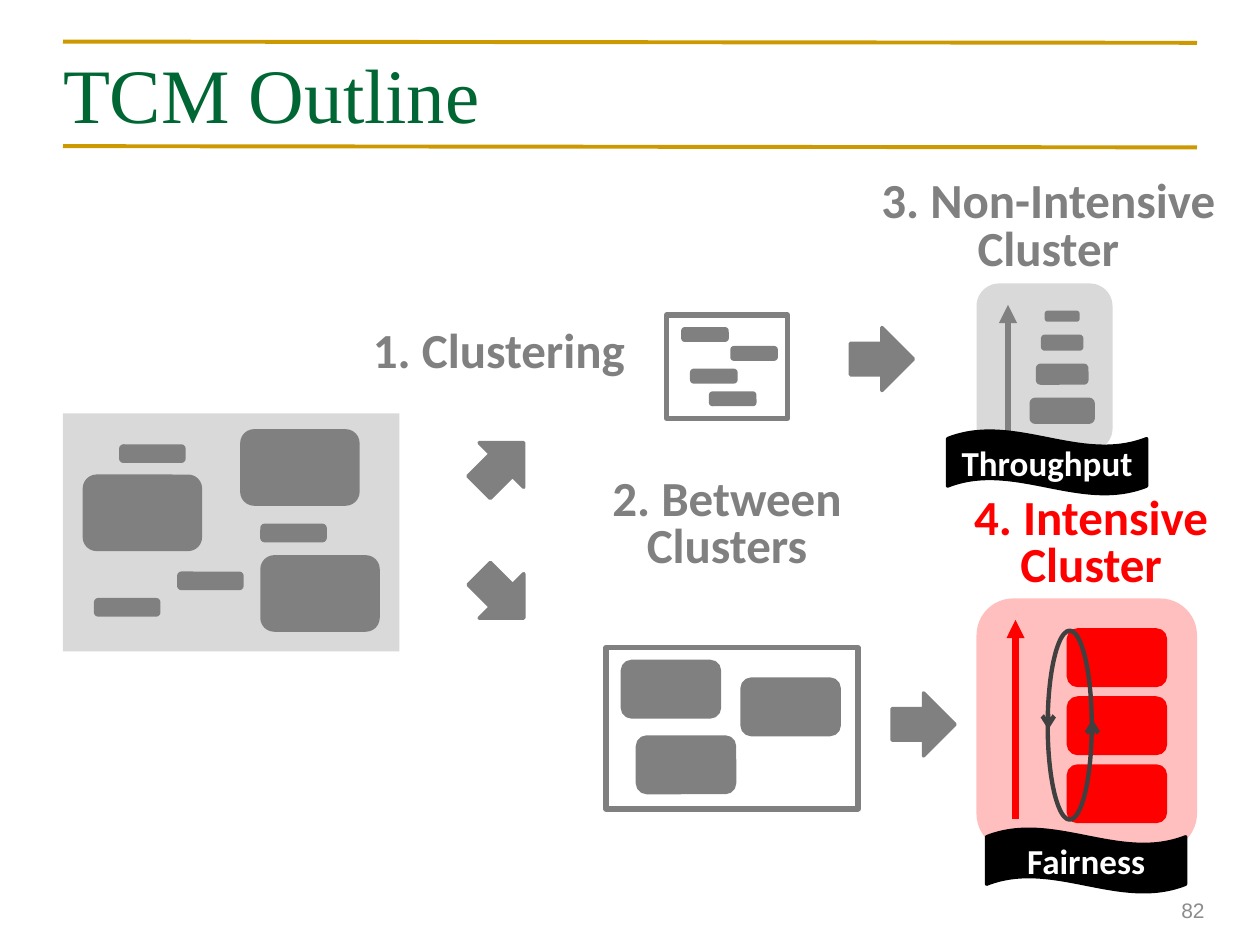
import pptx
import pptx.dml.color
import pptx.enum.shapes
import pptx.enum.text
import pptx.oxml.ns
import pptx.oxml.xmlchemy
import pptx.util
from pptx.util import Inches

SHAPE = pptx.enum.shapes.MSO_SHAPE
ALIGN = pptx.enum.text.PP_ALIGN
color = pptx.dml.color.RGBColor.from_string
new_element = pptx.oxml.xmlchemy.OxmlElement
qn = pptx.oxml.ns.qn

GREY, PALE, RED, DARK, GOLD = "808080", "D9D9D9", "FF0000", "404040", "CC9900"
BLACK, WHITE = "000000", "FFFFFF"

presentation = pptx.Presentation()
presentation.slide_width, presentation.slide_height = Inches(10), Inches(7.5)
slide = presentation.slides.add_slide(presentation.slide_layouts[5])


def add_shape(kind, box, fill=GREY, line=GREY, width=2, rotation=0):
    shape = slide.shapes.add_shape(kind, *map(Inches, box))
    shape.shadow.inherit = False
    shape.rotation = rotation
    if fill:
        shape.fill.solid()
        shape.fill.fore_color.rgb = color(fill)
    else:
        shape.fill.background()
    if line:
        shape.line.color.rgb = color(line)
        shape.line.width = pptx.util.Pt(width)
    else:
        shape.line.fill.background()
    return shape


def add_line(start, end, line, width, arrow=None):
    connector = slide.shapes.add_connector(
        pptx.enum.shapes.MSO_CONNECTOR.STRAIGHT, *map(Inches, (*start, *end)))
    connector.line.color.rgb = color(line)
    connector.line.width = pptx.util.Pt(width)
    if arrow:
        tail = new_element("a:tailEnd")
        tail.set("type", arrow)
        connector._element.spPr.find(qn("a:ln")).append(tail)
    connector._element.spPr.append(new_element("a:effectLst"))


# Title between two rules
for top in (0.33, 1.16):
    add_line((0.5, top), (9.5, top + 0.01), GOLD, 2.25)
title = slide.shapes.title
title.left, title.top, title.width, title.height = map(Inches, (0.5, 0.3, 9, 0.87))

# Mixed threads before clustering
add_shape(SHAPE.RECTANGLE, (0.5, 3.28, 2.67, 1.89), PALE, None)
for left, top in ((1.42, 4.55), (0.96, 3.54), (2.08, 4.17), (0.76, 4.76)):
    add_shape(SHAPE.ROUNDED_RECTANGLE, (left, top, 0.5, 0.12))
for left, top in ((2.08, 4.42), (0.67, 3.78), (1.92, 3.42)):
    add_shape(SHAPE.ROUNDED_RECTANGLE, (left, top, 0.92, 0.58))

# Intensive and non-intensive clusters
add_shape(SHAPE.RECTANGLE, (4.81, 5.14, 2, 1.28), None, GREY, 3)
for left, top in ((4.94, 5.25), (5.89, 5.39), (5.06, 5.85)):
    add_shape(SHAPE.ROUNDED_RECTANGLE, (left, top, 0.77, 0.44))
add_shape(SHAPE.RECTANGLE, (5.29, 2.5, 0.96, 0.82), None, GREY, 3)
for left, top in ((5.42, 2.61), (5.49, 2.94), (5.81, 2.76), (5.64, 3.12)):
    add_shape(SHAPE.ROUNDED_RECTANGLE, (left, top, 0.35, 0.09))

# Flow arrows
for left, top, rotation in ((3.73, 3.44, 315), (3.73, 4.48, 45),
                            (6.75, 2.6, 0), (7.08, 5.5, 0)):
    add_shape(SHAPE.RIGHT_ARROW, (left, top, 0.5, 0.5), rotation=rotation)

# Intensive cluster: shuffled ranking
panel = add_shape(SHAPE.ROUNDED_RECTANGLE, (7.75, 4.75, 1.75, 2), RED, None)
alpha = new_element("a:alpha")
alpha.set("val", "25000")
panel._element.spPr.find(qn("a:solidFill"))[0].append(alpha)
for row in range(3):
    add_shape(SHAPE.ROUNDED_RECTANGLE, (8.48, 5 + 0.54 * row, 0.77, 0.44), RED, RED)
add_line((8.06, 6.5), (8.06, 4.92), RED, 3.5, "triangle")
add_shape(SHAPE.OVAL, (7.74, 5.58, 1.5, 0.35), None, DARK, 2.5, 270)
add_line((8.32, 5.71), (8.32, 5.79), DARK, 2.5, "arrow")
add_line((8.67, 5.79), (8.67, 5.71), DARK, 2.5, "arrow")

# Non-intensive cluster: fixed ranking, centred on one axis
add_shape(SHAPE.ROUNDED_RECTANGLE, (7.75, 2.25, 1.08, 1.33), PALE, None)
for top, width, height in ((2.48, 0.25, 0.06), (2.67, 0.31, 0.1),
                           (2.9, 0.39, 0.14), (3.17, 0.49, 0.18)):
    add_shape(SHAPE.ROUNDED_RECTANGLE, (8.43 - width / 2, top, width, height))
add_line((8, 3.42), (8, 2.42), GREY, 3.5, "triangle")

# Texts: shape, lines, colour, alignment, font
heading = {"name": "Calibri", "size": pptx.util.Pt(28), "bold": True}
banner = {"name": "Calibri", "size": pptx.util.Pt(20), "bold": True}
texts = [(title, ["TCM Outline"], "006633", ALIGN.LEFT,
          {"name": "Times New Roman", "size": pptx.util.Pt(44)})]
for box, lines, ink in (
        ((2.84, 2.58, 2.24, 0.5), ["1. Clustering"], GREY),
        ((4.74, 3.75, 2.06, 0.87), ["2. Between", "Clusters"], GREY),
        ((6.87, 1.39, 2.9, 0.87), ["3. Non-Intensive", "Cluster"], GREY),
        ((7.61, 3.9, 2.1, 0.87), ["4. Intensive", "Cluster"], RED)):
    label = slide.shapes.add_textbox(*map(Inches, box))
    texts.append((label, lines, ink, ALIGN.CENTER, heading))
for left, top, goal in ((7.83, 6.58, "Fairness"), (7.52, 3.42, "Throughput")):
    wave = add_shape(SHAPE.WAVE, (left, top, 1.58, 0.5), BLACK, BLACK)
    texts.append((wave, [goal], WHITE, ALIGN.CENTER, banner))
number = slide.shapes.add_textbox(*map(Inches, (7.33, 7.02, 2.33, 0.4)))
texts.append((number, ["82"], "8C8C8C", ALIGN.RIGHT,
              {"name": "Arial", "size": pptx.util.Pt(12)}))

for shape, lines, ink, alignment, formats in texts:
    frame = shape.text_frame
    frame.text = "\n".join(lines)
    is_heading = formats is heading
    frame.word_wrap = not is_heading
    frame.margin_left = frame.margin_right = Inches(0 if shape is title else 0.1)
    frame.vertical_anchor = (pptx.enum.text.MSO_ANCHOR.TOP if is_heading
                             else pptx.enum.text.MSO_ANCHOR.MIDDLE)
    frame.auto_size = (pptx.enum.text.MSO_AUTO_SIZE.SHAPE_TO_FIT_TEXT if is_heading
                       else pptx.enum.text.MSO_AUTO_SIZE.NONE)
    for paragraph in frame.paragraphs:
        paragraph.alignment = alignment
        if is_heading:
            paragraph.line_spacing = 0.8
        for name, value in formats.items():
            setattr(paragraph.font, name, value)
        paragraph.font.color.rgb = color(ink)

presentation.save("out.pptx")
